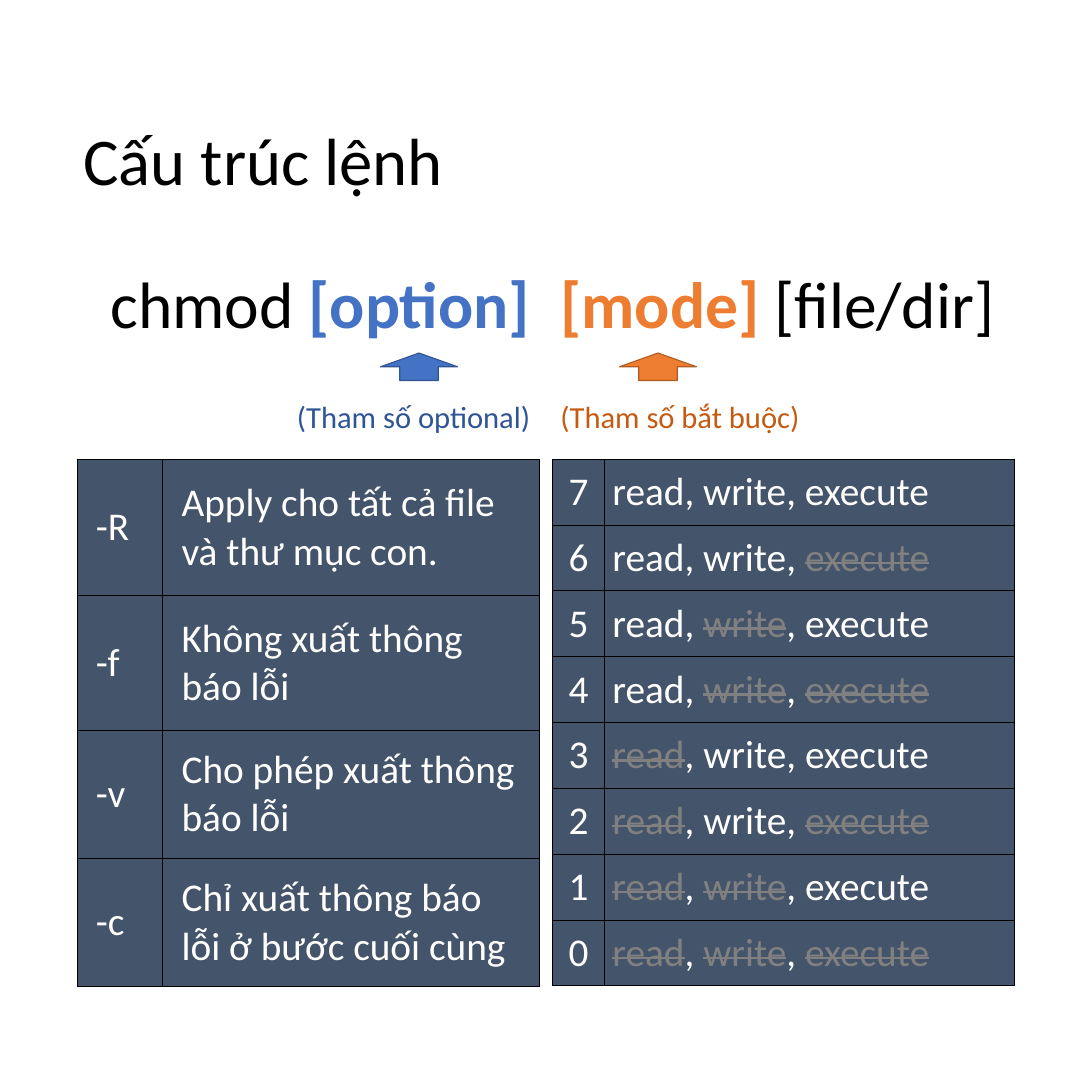
from dataclasses import dataclass
from lxml.etree import SubElement
from pptx import Presentation
from pptx.dml.color import RGBColor as RGB
from pptx.enum.shapes import MSO_SHAPE as SHAPE
from pptx.enum.text import MSO_ANCHOR as ANCHOR, PP_ALIGN as ALIGN
from pptx.oxml.ns import qn
from pptx.util import Inches, Pt


@dataclass(frozen=True)
class Theme:
    font: str = "Calibri"
    black: str = "000000"
    white: str = "FFFFFF"
    struck: str = "808080"
    cell: str = "44546A"
    blue: str = "4472C4"
    blue_line: str = "325491"
    blue_text: str = "2F5597"
    orange: str = "ED7D31"
    orange_line: str = "AF5C24"
    orange_text: str = "C55A11"
    title: float = 61.1
    command: float = 60
    caption: float = 28
    table: float = 36


class Page:
    def __init__(self, slide, theme):
        self.slide = slide
        self.theme = theme

    def run(self, p, text, size, color, bold=False, strike=False):
        r = p.add_run()
        r.text = text
        r.font.name = self.theme.font
        r.font.size = Pt(size)
        r.font.bold = bold
        r.font.color.rgb = RGB.from_string(color)
        if strike:
            r.font._element.set("strike", "sngStrike")

    def text(self, box, runs, size, align=ALIGN.LEFT, anchor=ANCHOR.TOP, before=13.9):
        tf = self.slide.shapes.add_textbox(*map(Inches, box)).text_frame
        tf.word_wrap = True
        tf.vertical_anchor = anchor
        p = tf.paragraphs[0]
        p.alignment = align
        p.line_spacing = 0.9
        p.space_before = Pt(before)
        for text, color, bold in runs:
            self.run(p, text, size, color, bold)

    def arrow(self, left, fill, line):
        box = map(Inches, (left, 4.49, 0.98, 0.35))
        sp = self.slide.shapes.add_shape(SHAPE.UP_ARROW, *box)
        sp.shadow.inherit = False
        sp.fill.solid()
        sp.fill.fore_color.rgb = RGB.from_string(fill)
        sp.line.color.rgb = RGB.from_string(line)
        sp.line.width = Pt(1)

    def border(self, cell):
        props = cell._tc.get_or_add_tcPr()
        for side in ("a:lnL", "a:lnR", "a:lnT", "a:lnB"):
            line = SubElement(props, qn(side), w=str(Pt(1)))
            fill = SubElement(line, qn("a:solidFill"))
            SubElement(fill, qn("a:srgbClr"), val=self.theme.black)

    def table(self, left, cols, heights, rows, key_align, margin):
        t = self.theme
        box = map(Inches, (left, 5.84, sum(cols), sum(heights)))
        table = self.slide.shapes.add_table(len(rows), len(cols), *box).table
        table.first_row = table.horz_banding = False
        for col, width in zip(table.columns, cols):
            col.width = Inches(width)
        for row, height, (key, words) in zip(table.rows, heights, rows):
            row.height = Inches(height)
            contents = ([(key, False)], words)
            for cell, runs, align in zip(row.cells, contents, (key_align, ALIGN.LEFT)):
                self.border(cell)
                cell.fill.solid()
                cell.fill.fore_color.rgb = RGB.from_string(t.cell)
                cell.vertical_anchor = ANCHOR.MIDDLE
                cell.margin_left = cell.margin_right = Inches(margin)
                p = cell.text_frame.paragraphs[0]
                p.alignment = align
                for text, strike in runs:
                    color = t.struck if strike else t.white
                    self.run(p, text, t.table, color, strike=strike)


def permissions(mode):
    runs = []
    for bit, word in ((4, "read"), (2, "write"), (1, "execute")):
        if runs:
            runs.append((", ", False))
        runs.append((word, not mode & bit))
    return runs


prs = Presentation()
prs.slide_width = prs.slide_height = Inches(13.89)
theme = Theme()
page = Page(prs.slides.add_slide(prs.slide_layouts[6]), theme)

page.text((0.96, 0.74, 11.98, 2.68), [("Cấu trúc lệnh", theme.black, False)],
          theme.title, anchor=ANCHOR.MIDDLE, before=0)

sides = (
    (0.96, 5.88, ALIGN.RIGHT,
     [("chmod ", theme.black, False), ("[option]", theme.blue, True)],
     ("(Tham số optional)", theme.blue_text, False)),
    (7.03, 5.91, ALIGN.LEFT,
     [("[mode] ", theme.orange, True), ("[file/dir]", theme.black, False)],
     ("(Tham số bắt buộc)", theme.orange_text, False)),
)
for left, width, align, command, caption in sides:
    page.text((left, 3.41, width, 1.67), command, theme.command, align)
    page.text((left, 5.07, width, 0.7), [caption], theme.caption, align)

page.arrow(4.84, theme.blue, theme.blue_line)
page.arrow(7.88, theme.orange, theme.orange_line)

modes = [(str(mode), permissions(mode)) for mode in range(7, -1, -1)]
page.table(7.03, (0.66, 5.22), [6.7 / len(modes)] * len(modes), modes, ALIGN.CENTER, 0.1)

options = (
    ("-R", "Apply cho tất cả file và thư mục con."),
    ("-f", "Không xuất thông báo lỗi"),
    ("-v", "Cho phép xuất thông báo lỗi"),
    ("-c", "Chỉ xuất thông báo lỗi ở bước cuối cùng"),
)
page.table(0.98, (1.09, 4.79), (1.74, 1.71, 1.63, 1.63),
           [(flag, [(meaning, False)]) for flag, meaning in options], ALIGN.LEFT, 0.24)

prs.save("out.pptx")
